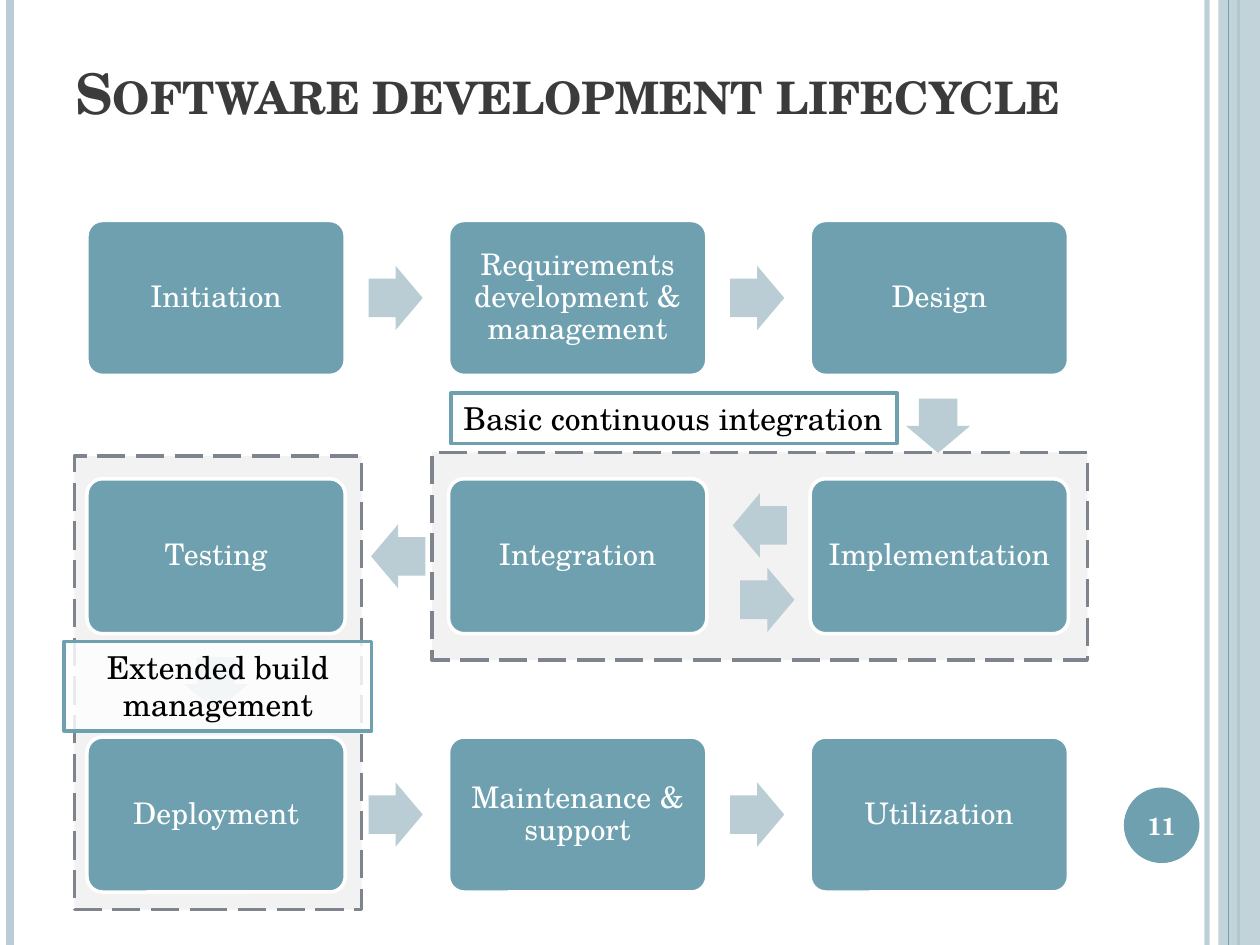
from typing import NamedTuple, Optional

from lxml.etree import SubElement
from pptx import Presentation
from pptx.dml.color import RGBColor
from pptx.enum.dml import MSO_LINE
from pptx.enum.shapes import MSO_CONNECTOR, MSO_SHAPE
from pptx.enum.text import MSO_ANCHOR as Anchor, MSO_AUTO_SIZE as AutoSize, PP_ALIGN as Align
from pptx.oxml.ns import qn
from pptx.util import Inches, Pt

FONT = "TeX Gyre Schola"
TEAL, PALE, WHITE = "6EA0B0", "BACDD4", "FFFFFF"
PANEL, DASH, INK, BLACK = "F2F2F2", "7E848D", "3B3B3B", "000000"

GRID_LEFT, GRID_TOP = 0.69, 1.75
COLUMN_STEP, ROW_STEP = 2.87, 2.05
STAGE_WIDTH, STAGE_HEIGHT = 2.05, 1.23
ARROW_WIDTH, ARROW_HEIGHT = 0.43, 0.51


class Area(NamedTuple):
    left: float
    top: float
    width: float
    height: float


class Rule(NamedTuple):
    x: float
    color: str
    weight: float
    opacity: int = 100


class Stage(NamedTuple):
    column: int
    row: int
    name: str


class Arrow(NamedTuple):
    x: float  # centre
    y: float
    rotation: int = 0


class Label(NamedTuple):
    area: Area
    text: str
    align: Align
    opacity: int


def column_center(column: int) -> float:
    return GRID_LEFT + column * COLUMN_STEP + STAGE_WIDTH / 2


def row_center(row: int) -> float:
    return GRID_TOP + row * ROW_STEP + STAGE_HEIGHT / 2


RULES = [Rule(9.58, PALE, 3, 93), Rule(0.08, PALE, 4.5), Rule(9.83, TEAL, 1.5)]
EDGE_RULE = Rule(9.75, TEAL, 0.75)
PANELS = [Area(0.59, 3.62, 2.28, 3.6), Area(3.43, 3.59, 5.2, 1.65)]
STAGES = [
    Stage(0, 0, "Initiation"),
    Stage(1, 0, "Requirements development & management"),
    Stage(2, 0, "Design"),
    Stage(2, 1, "Implementation"),
    Stage(1, 1, "Integration"),
    Stage(0, 1, "Testing"),
    Stage(0, 2, "Deployment"),
    Stage(1, 2, "Maintenance & support"),
    Stage(2, 2, "Utilization"),
]
ARROWS = [Arrow(x, row_center(row)) for row in (0, 2) for x in (3.14, 6.01)] + [
    Arrow(column_center(2) - 0.01, 3.38, 90),
    Arrow(column_center(0), 5.43, 90),
    Arrow(3.16, row_center(1), 180),
    Arrow(6.03, 4.17, 180),
    Arrow(6.09, 4.76),
]
LABELS = [
    Label(Area(3.58, 3.12, 3.54, 0.4), "Basic continuous integration", Align.LEFT, 44),
    Label(Area(0.51, 5.09, 2.44, 0.71), "Extended build management", Align.CENTER, 83),
]


def rgb(color: str) -> RGBColor:
    return RGBColor.from_string(color)


def set_opacity(properties, percent: int) -> None:
    """Make every solid colour within the shape properties see-through."""
    if percent < 100:
        for color in properties.iter(qn("a:srgbClr")):
            SubElement(color, qn("a:alpha")).set("val", str(percent * 1000))


def add_rule(page, rule: Rule) -> None:
    line = page.shapes.add_connector(
        MSO_CONNECTOR.STRAIGHT, Inches(rule.x), 0, Inches(rule.x), Inches(7.5))
    line.line.color.rgb = rgb(rule.color)
    line.line.width = Pt(rule.weight)
    properties = line._element.spPr
    set_opacity(properties, rule.opacity)
    SubElement(properties, qn("a:effectLst"))


def add_box(page, kind: MSO_SHAPE, area: Area, fill: str,
            outline: Optional[str] = None, opacity: int = 100):
    box = page.shapes.add_shape(kind, *map(Inches, area))
    box.shadow.inherit = False
    box.fill.solid()
    box.fill.fore_color.rgb = rgb(fill)
    set_opacity(box._element.spPr, opacity)
    if outline:
        box.line.color.rgb = rgb(outline)
        box.line.width = Pt(2)
    else:
        box.line.fill.background()
    return box


def write(box, text: str, size: float, color: str, align: Align,
          bold: bool = False, margin: Optional[float] = None):
    frame = box.text_frame
    frame.text = text
    frame.word_wrap = True
    if margin is not None:
        frame.margin_left = frame.margin_right = Inches(margin)
        frame.margin_top = frame.margin_bottom = Inches(margin)
    para = frame.paragraphs[0]
    para.alignment = align
    span = para.runs[0]
    span.font.name = FONT
    span.font.size = Pt(size)
    span.font.bold = bold
    span.font.color.rgb = rgb(color)
    return para


def add_title(page, text: str) -> None:
    title = page.shapes.title
    title.left, title.top, title.width, title.height = map(Inches, (0.5, 0.3, 8.17, 1.25))
    para = write(title, text, 32, INK, Align.LEFT, bold=True)
    para.runs[0].font._element.set("cap", "small")
    frame = title.text_frame
    frame.auto_size = AutoSize.NONE
    frame.vertical_anchor = Anchor.BOTTOM
    frame.margin_bottom = Inches(0.55)


def add_stage(page, stage: Stage) -> None:
    area = Area(column_center(stage.column) - STAGE_WIDTH / 2,
                row_center(stage.row) - STAGE_HEIGHT / 2, STAGE_WIDTH, STAGE_HEIGHT)
    box = add_box(page, MSO_SHAPE.ROUNDED_RECTANGLE, area, TEAL, WHITE)
    box.adjustments[0] = 0.1
    write(box, stage.name, 17, WHITE, Align.CENTER, margin=0.08).line_spacing = 0.9


def add_arrow(page, arrow: Arrow) -> None:
    area = Area(arrow.x - ARROW_WIDTH / 2, arrow.y - ARROW_HEIGHT / 2,
                ARROW_WIDTH, ARROW_HEIGHT)
    shape = add_box(page, MSO_SHAPE.RIGHT_ARROW, area, PALE)
    shape.adjustments[0] = 0.6
    shape.adjustments[1] = 0.5
    shape.rotation = arrow.rotation


def add_label(page, label: Label) -> None:
    box = add_box(page, MSO_SHAPE.RECTANGLE, label.area, WHITE, TEAL, label.opacity)
    write(box, label.text, 18, BLACK, label.align)
    box.text_frame.vertical_anchor = Anchor.TOP


def main() -> None:
    deck = Presentation()
    deck.slide_width, deck.slide_height = Inches(10), Inches(7.5)
    page = deck.slides.add_slide(deck.slide_layouts[5])

    for rule in RULES:
        add_rule(page, rule)
    add_box(page, MSO_SHAPE.RECTANGLE, Area(9.67, 0, 0.33, 7.5), PALE, opacity=87)
    add_rule(page, EDGE_RULE)
    badge = add_box(page, MSO_SHAPE.OVAL, Area(8.92, 6.25, 0.6, 0.6), TEAL)
    write(badge, "11", 14, WHITE, Align.CENTER, bold=True, margin=0)

    add_title(page, "Software development lifecycle")
    for area in PANELS:
        panel = add_box(page, MSO_SHAPE.RECTANGLE, area, PANEL, DASH)
        panel.line.dash_style = MSO_LINE.LONG_DASH
    for stage in STAGES:
        add_stage(page, stage)
    for arrow in ARROWS:
        add_arrow(page, arrow)
    for label in LABELS:
        add_label(page, label)
    deck.save("out.pptx")


if __name__ == "__main__":
    main()
